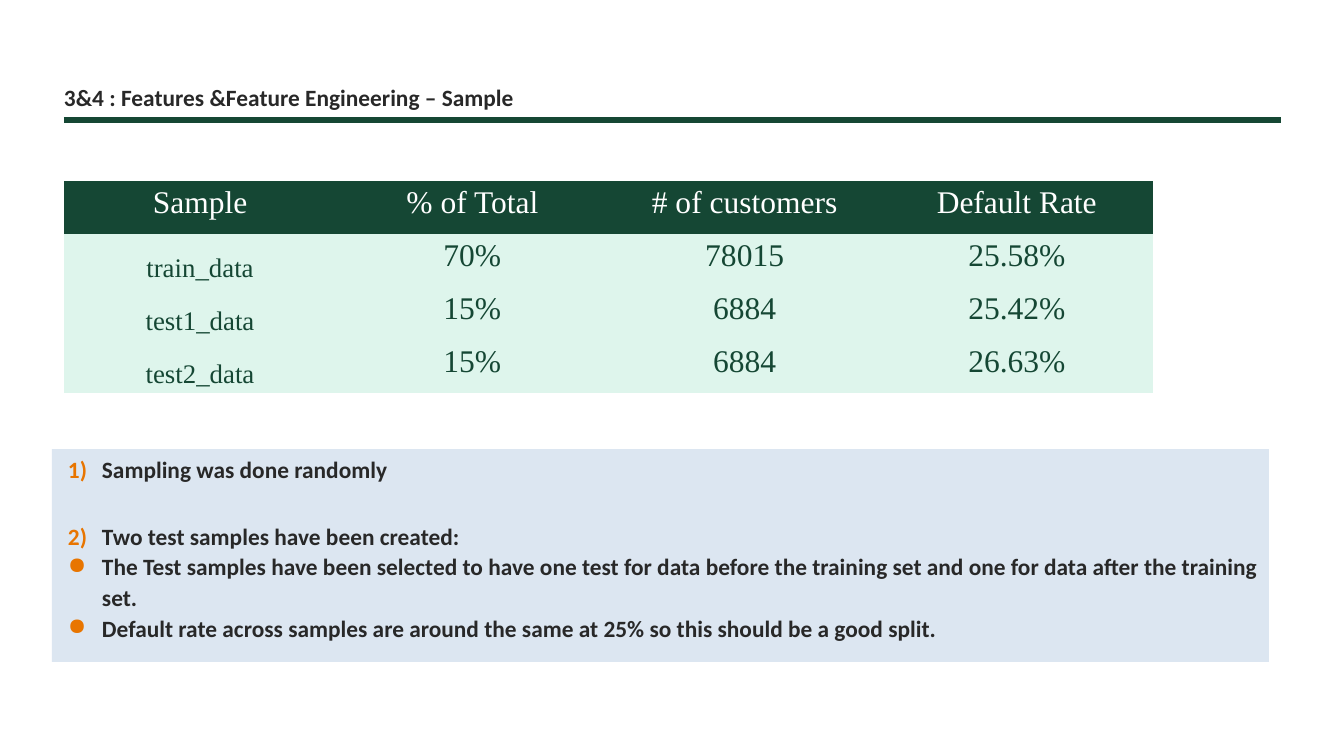
from lxml import etree
from pptx import Presentation
from pptx.dml.color import RGBColor
from pptx.enum.shapes import MSO_CONNECTOR, MSO_SHAPE
from pptx.enum.text import MSO_ANCHOR as Anchor, PP_ALIGN as Align
from pptx.oxml.ns import qn
from pptx.util import Emu, Pt

COLORS = {
    "green": "154734",
    "mint": "DEF5EC",
    "panel": "DCE6F1",
    "ink": "282828",
    "orange": "E87500",
    "white": "FFFFFF",
}
PLAIN_TABLE_STYLE = "{2D5ABB26-0587-4C30-8999-92F81FD0307C}"
SAMPLES = [
    ["Sample", "% of Total", "# of customers", "Default Rate"],
    ["train_data", "70%", "78015", "25.58%"],
    ["test1_data", "15%", "6884", "25.42%"],
    ["test2_data", "15%", "6884", "26.63%"],
]
NUMBER = ("a:buAutoNum", {"type": "arabicParenR"})
DOT = ("a:buChar", {"char": "●"})
NOTES = [
    ("Sampling was done randomly", NUMBER, 31),
    ("Two test samples have been created:", NUMBER, 0),
    ("The Test samples have been selected to have one test for data before "
     "the training set and one for data after the training set.", DOT, 0),
    ("Default rate across samples are around the same at 25% so this should "
     "be a good split.", DOT, 0),
]


def px(length):
    return Emu(round(length * 914400 / 84))


def rgb(name):
    return RGBColor.from_string(COLORS[name])


def style_font(paragraph, name, size, color, bold=False):
    font = paragraph.font
    font.name, font.size, font.bold = name, Pt(size), bold
    font.color.rgb = rgb(color)


def set_margins(frame, left, top, right, bottom):
    frame.margin_left, frame.margin_top = px(left), px(top)
    frame.margin_right, frame.margin_bottom = px(right), px(bottom)


def add_bullet(paragraph, bullet):
    tag, attributes = bullet
    properties = paragraph._p.get_or_add_pPr()
    properties.set("marL", str(px(42)))
    properties.set("indent", str(px(-34)))
    bullet_color = etree.SubElement(properties, qn("a:buClr"))
    etree.SubElement(bullet_color, qn("a:srgbClr"), val=COLORS["orange"])
    etree.SubElement(properties, qn(tag), attributes)


def add_heading(slide, left, top, width, height):
    box = slide.shapes.add_textbox(px(left), px(top), px(width), px(height - 9))
    frame = box.text_frame
    frame.word_wrap = True
    frame.vertical_anchor = Anchor.BOTTOM
    set_margins(frame, 0, 0, 0, 0)
    paragraph = frame.paragraphs[0]
    paragraph.text = "3&4 : Features &Feature Engineering – Sample"
    style_font(paragraph, "Calibri", 20, "ink", True)

    bottom = px(top + height)
    rule = slide.shapes.add_connector(
        MSO_CONNECTOR.STRAIGHT, px(left), bottom, px(left + width), bottom)
    rule.line.color.rgb = rgb("green")
    rule.line.width = Pt(4.5)
    etree.SubElement(rule.element.spPr, qn("a:effectLst"))


def add_sample_table(slide, left, top, width, height):
    shape = slide.shapes.add_table(
        len(SAMPLES), len(SAMPLES[0]), px(left), px(top), px(width), px(height))
    shape.element.find(".//" + qn("a:tableStyleId")).text = PLAIN_TABLE_STYLE
    table = shape.table
    table.horz_banding = False
    for row_index, row in enumerate(SAMPLES):
        is_header = row_index == 0
        for column_index, text in enumerate(row):
            is_label = column_index == 0 and not is_header
            cell = table.cell(row_index, column_index)
            cell.fill.solid()
            cell.fill.fore_color.rgb = rgb("green" if is_header else "mint")
            cell.vertical_anchor = Anchor.BOTTOM if is_label else Anchor.TOP
            set_margins(cell, 8, 4, 8, 4)
            paragraph = cell.text_frame.paragraphs[0]
            paragraph.text = text
            paragraph.alignment = Align.CENTER
            style_font(paragraph, "Times New Roman", 23 if is_label else 27,
                       "white" if is_header else "green")


def add_notes_panel(slide, left, top, width, height):
    panel = slide.shapes.add_shape(
        MSO_SHAPE.RECTANGLE, px(left), px(top), px(width), px(height))
    panel.shadow.inherit = False
    panel.fill.solid()
    panel.fill.fore_color.rgb = rgb("panel")
    panel.line.fill.background()
    frame = panel.text_frame
    frame.word_wrap = True
    frame.vertical_anchor = Anchor.TOP
    set_margins(frame, 8, 3, 3, 3)
    for index, (text, bullet, gap) in enumerate(NOTES):
        paragraph = frame.add_paragraph() if index else frame.paragraphs[0]
        paragraph.text = text
        paragraph.alignment = Align.LEFT
        paragraph.line_spacing = 1.1
        paragraph.space_after = Pt(gap)
        style_font(paragraph, "Calibri", 20, "ink", True)
        add_bullet(paragraph, bullet)


def main():
    presentation = Presentation()
    presentation.slide_width, presentation.slide_height = px(1344), px(756)
    slide = presentation.slides.add_slide(presentation.slide_layouts[6])
    add_heading(slide, 64, 45, 1217, 75)
    add_sample_table(slide, 64, 181, 1089, 212)
    add_notes_panel(slide, 52, 449, 1217, 213)
    presentation.save("out.pptx")


if __name__ == "__main__":
    main()
